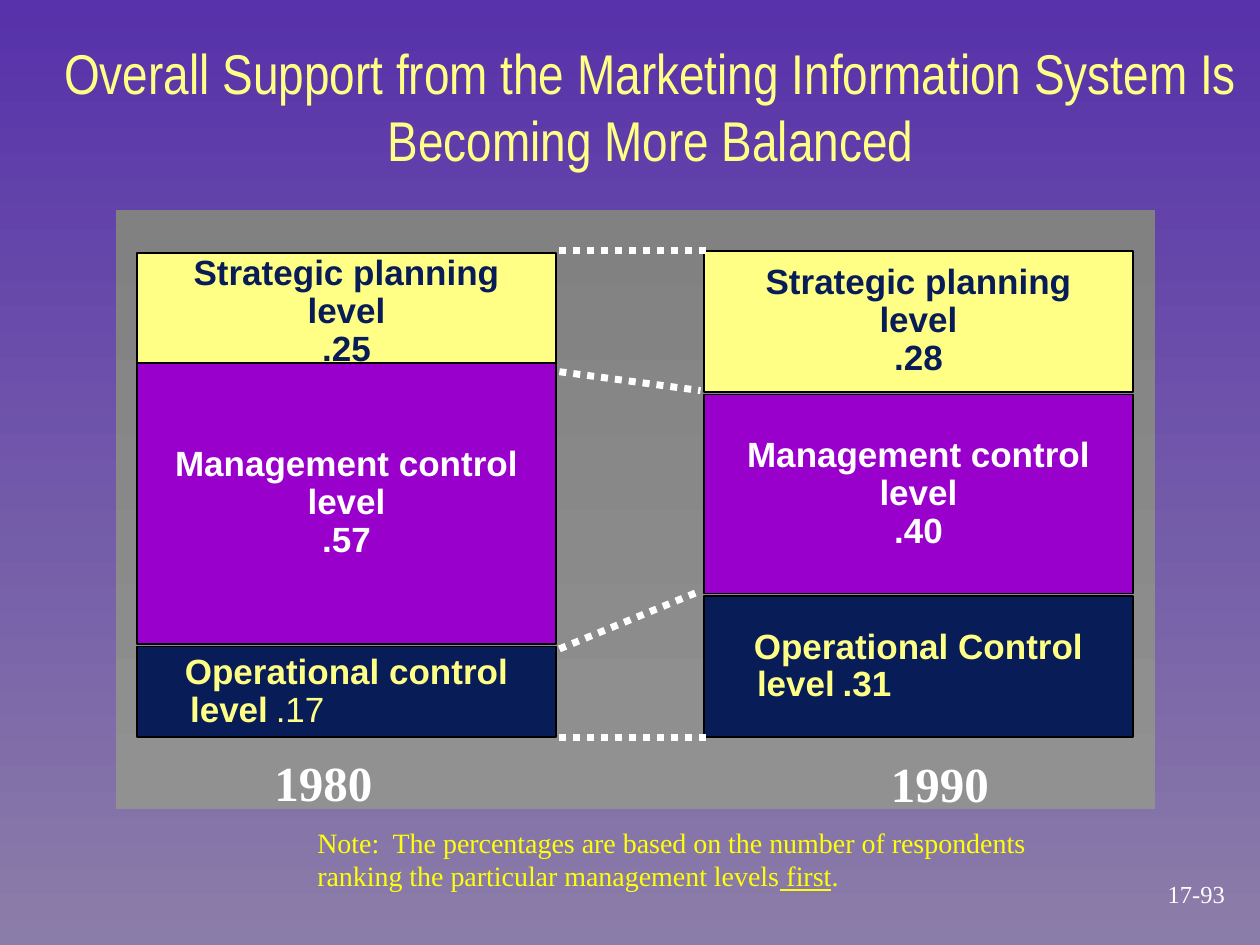
from lxml.etree import SubElement
from pptx import Presentation
from pptx.dml.color import RGBColor
from pptx.enum.dml import MSO_LINE
from pptx.enum.shapes import MSO_CONNECTOR, MSO_SHAPE
from pptx.enum.text import MSO_ANCHOR, MSO_AUTO_SIZE, PP_ALIGN
from pptx.oxml.ns import qn
from pptx.util import Inches, Pt

COLORS = {
    "sky": "5732AA", "haze": "8B7DA9",
    "panel_top": "818181", "panel_bottom": "919191",
    "cream": "FFFF85", "purple": "9900CC", "navy": "081D58",
    "white": "FFFFFF", "black": "000000", "note": "FFFF0B",
}
LEVELS = [
    ("Strategic planning", "cream", "navy"),
    ("Management control", "purple", "white"),
    ("Operational control", "navy", "cream"),
]


def color(name):
    return RGBColor.from_string(COLORS[name])


def fill_gradient(fill, first, last):
    fill.gradient()
    fill.gradient_angle = 270
    for stop, name in zip(fill.gradient_stops, (first, last)):
        stop.color.rgb = color(name)


def write(para, text, *, font, size, ink, bold=False, underline=False):
    span = para.add_run()
    span.text = text
    span.font.name = font
    span.font.size = Pt(size)
    span.font.color.rgb = color(ink)
    span.font.bold = bold
    span.font.underline = underline


def set_value_tab(para, indent, position):
    properties = para._p.get_or_add_pPr()
    properties.set("marL", "0")
    properties.set("indent", str(Inches(indent)))
    tabs = SubElement(properties, qn("a:tabLst"))
    SubElement(tabs, qn("a:tab"), pos=str(Inches(position)), algn="r")


def add_title(page, box, text):
    title = page.shapes.title
    title.left, title.top, title.width, title.height = map(Inches, box)
    frame = title.text_frame
    frame.word_wrap = True
    frame.auto_size = MSO_AUTO_SIZE.NONE
    frame.vertical_anchor = MSO_ANCHOR.BOTTOM
    para = frame.paragraphs[0]
    para.alignment = PP_ALIGN.CENTER
    write(para, text, font="Arial Narrow", size=32, ink="cream")


def add_rectangle(page, box):
    shape = page.shapes.add_shape(MSO_SHAPE.RECTANGLE, *map(Inches, box))
    shape.shadow.inherit = False
    return shape


def add_panel(page, box):
    panel = add_rectangle(page, box)
    fill_gradient(panel.fill, "panel_top", "panel_bottom")
    panel.line.fill.background()


def add_level(page, box, name, value, fill, ink, inline, bold_value):
    level = add_rectangle(page, box)
    level.fill.solid()
    level.fill.fore_color.rgb = color(fill)
    level.line.color.rgb = color("black")
    level.line.width = Pt(1)
    frame = level.text_frame
    frame.word_wrap = True
    frame.vertical_anchor = MSO_ANCHOR.MIDDLE
    style = {"font": "Arial", "size": 20, "ink": ink}
    lines = [name, "level"] if inline else [name, "level", value]
    for index, text in enumerate(lines):
        para = frame.add_paragraph() if index else frame.paragraphs[0]
        para.alignment = PP_ALIGN.CENTER
        para.line_spacing = 0.9
        write(para, text, bold=True, **style)
    if inline:
        para.alignment = PP_ALIGN.LEFT
        indent = 0.32
        set_value_tab(para, indent, box[2] - 0.2 - indent)
        write(para, "\t" + value, bold=bold_value, **style)


def add_stack(page, left, width, spans, values, operational, bold_value=True):
    for (name, fill, ink), (top, height), value in zip(LEVELS, spans, values):
        inline = name == "Operational control"
        add_level(page, (left, top, width, height),
                  operational if inline else name, value, fill, ink,
                  inline, bold_value)


def add_dotted_line(page, start, end):
    line = page.shapes.add_connector(
        MSO_CONNECTOR.STRAIGHT, *map(Inches, start + end))
    line.line.color.rgb = color("white")
    line.line.width = Pt(4)
    line.line.dash_style = MSO_LINE.ROUND_DOT
    SubElement(line._element.spPr, qn("a:effectLst"))


def add_label(page, box, spans, *, align=PP_ALIGN.LEFT, wrap=True,
              anchor=MSO_ANCHOR.TOP, **style):
    label = page.shapes.add_textbox(*map(Inches, box))
    frame = label.text_frame
    frame.word_wrap = wrap
    frame.vertical_anchor = anchor
    para = frame.paragraphs[0]
    para.alignment = align
    for text, underline in spans:
        write(para, text, font="Times New Roman", underline=underline, **style)


def build_page(deck):
    page = deck.slides.add_slide(deck.slide_layouts[5])
    fill_gradient(page.background.fill, "sky", "haze")
    add_panel(page, (0.92, 1.67, 8.25, 4.75))
    add_title(page, (0.33, 0.17, 9.67, 1.25),
              "Overall Support from the Marketing Information System Is "
              "Becoming More Balanced")
    add_stack(page, 1.09, 3.32, [(2.01, 0.94), (2.88, 2.23), (5.13, 0.72)],
              [".25", ".57", ".17"], "Operational control", bold_value=False)
    add_stack(page, 5.59, 3.4, [(1.99, 1.12), (3.13, 1.58), (4.73, 1.12)],
              [".28", ".40", ".31"], "Operational Control")
    for start, end_x, end in [(1.99, 5.64, 1.99), (2.95, 5.56, 3.1),
                              (5.15, 5.56, 4.69), (5.85, 5.64, 5.85)]:
        add_dotted_line(page, (4.44, start), (end_x, end))
    add_label(page, (2.42, 6.5, 5.86, 0.63),
              [("Note:  The percentages are based on the number of respondents "
                "ranking the particular management levels", False),
               (" first", True), (".", False)], size=16, ink="note")
    add_label(page, (2.08, 5.92, 1.18, 0.56), [("1980", False)],
              size=28, ink="white", bold=True)
    add_label(page, (6.83, 5.93, 1.26, 0.56), [("1990", False)],
              align=PP_ALIGN.CENTER, size=28, ink="white", bold=True)
    add_label(page, (8.86, 6.92, 1.27, 0.34), [("17-93", False)],
              align=PP_ALIGN.CENTER, wrap=False, anchor=MSO_ANCHOR.MIDDLE,
              size=14, ink="white")


def main():
    deck = Presentation()
    deck.slide_width, deck.slide_height = Inches(10), Inches(7.5)
    build_page(deck)
    deck.save("out.pptx")


if __name__ == "__main__":
    main()
